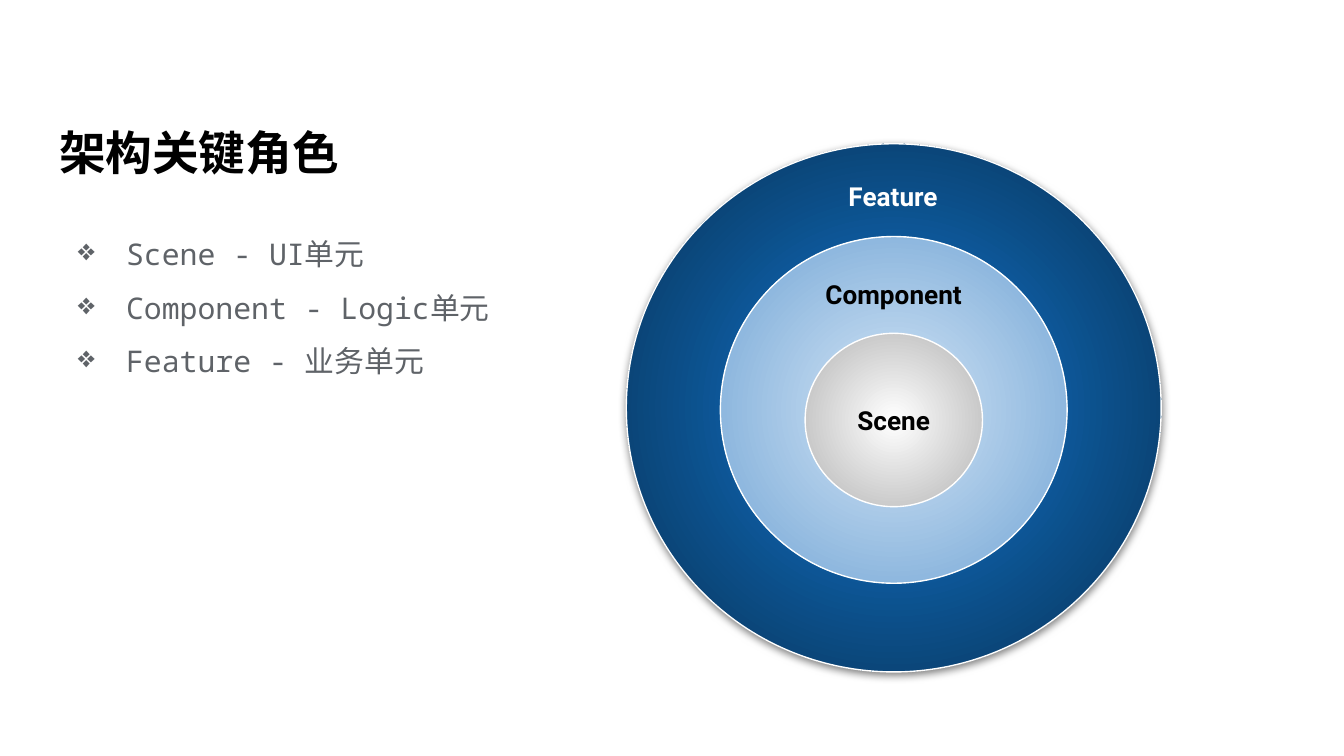
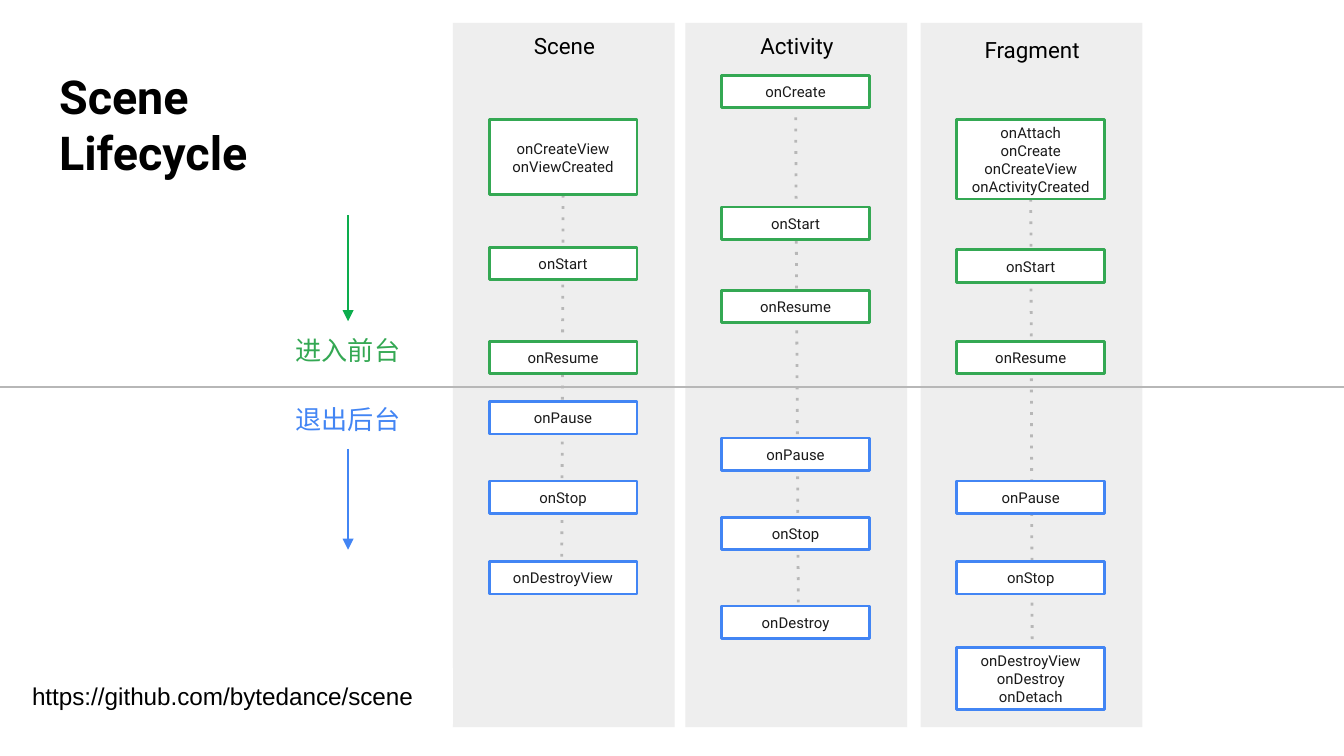
from lxml.etree import SubElement
from pptx import Presentation
from pptx.dml.color import RGBColor
from pptx.enum.shapes import MSO_CONNECTOR, MSO_SHAPE
from pptx.enum.text import MSO_ANCHOR, MSO_AUTO_SIZE, PP_ALIGN
from pptx.oxml.ns import qn
from pptx.util import Inches, Pt

BLACK = RGBColor(0x00, 0x00, 0x00)
WHITE = RGBColor(0xFF, 0xFF, 0xFF)
INK = RGBColor(0x1A, 0x1A, 0x1A)
SLATE = RGBColor(0x5F, 0x63, 0x68)
PANEL = RGBColor(0xEE, 0xEE, 0xEE)
RULE = RGBColor(0xB7, 0xB7, 0xB7)
GREEN = RGBColor(0x34, 0xA8, 0x53)
ARROW_GREEN = RGBColor(0x0C, 0xAD, 0x4D)
BLUE = RGBColor(0x42, 0x85, 0xF4)
NAVY = RGBColor(0x10, 0x77, 0xD2), RGBColor(0x09, 0x31, 0x53)
SKY = RGBColor(0xD4, 0xE5, 0xF5), RGBColor(0x70, 0xA4, 0xD5)
SILVER = WHITE, RGBColor(0xB3, 0xB3, 0xB3)

deck = Presentation()
deck.slide_width = Inches(10)
deck.slide_height = Inches(5.625)
COLUMN = deck.slide_width / 100
ROW = deck.slide_height / 56.25


def write(shape, lines, size, color, align=PP_ALIGN.CENTER, anchor=MSO_ANCHOR.TOP,
          bold=False, font="Roboto", inset=1):
    frame = shape.text_frame
    frame.word_wrap = True
    frame.auto_size = MSO_AUTO_SIZE.NONE
    frame.vertical_anchor = anchor
    frame.margin_left = frame.margin_right = int(inset * COLUMN)
    frame.margin_top = frame.margin_bottom = int(inset * ROW)
    frame.text = "\n".join(lines)
    for para in frame.paragraphs:
        para.alignment = align
        para.font.name = font
        para.font.size = Pt(size)
        para.font.bold = bold
        para.font.color.rgb = color
        SubElement(para._p.pPr.find(qn("a:defRPr")), qn("a:ea"), typeface=font)
    return frame


def connect(page, start, end, color, width, detail=None, value=None):
    line = page.shapes.add_connector(
        MSO_CONNECTOR.STRAIGHT, int(start[0] * COLUMN), int(start[1] * ROW),
        int(end[0] * COLUMN), int(end[1] * ROW))
    line.line.color.rgb = color
    line.line.width = Pt(width)
    properties = line._element.spPr
    if detail == "prstDash":
        SubElement(properties.find(qn("a:ln")), qn("a:prstDash"), val=value)
    elif detail == "tailEnd":
        SubElement(properties.find(qn("a:ln")), qn("a:tailEnd"), type=value)
    SubElement(properties, qn("a:effectLst"))


pages = []
for title_lines in (["架构关键角色"], ["Scene", "Lifecycle"]):
    page = deck.slides.add_slide(deck.slide_layouts[5])
    title = page.shapes.title
    title.left, title.top = int(3.4 * COLUMN), int(6.1 * ROW)
    title.width, title.height = int(45.8 * COLUMN), int(8.3 * ROW)
    write(title, title_lines, 25, BLACK, PP_ALIGN.LEFT, MSO_ANCHOR.BOTTOM, True)
    pages.append(page)
roles, lifecycle = pages

rings = []
for left, top, width, height, (center, edge) in (
        (46.6, 10.7, 39.8, 39.3, NAVY),
        (53.6, 17.6, 25.8, 25.8, SKY),
        (59.9, 24.8, 13.2, 12.9, SILVER)):
    ring = roles.shapes.add_shape(
        MSO_SHAPE.OVAL, int(left * COLUMN), int(top * ROW), int(width * COLUMN), int(height * ROW))
    ring.shadow.inherit = False
    ring.line.color.rgb = WHITE
    ring.line.width = Pt(0.75)
    ring.fill.gradient()
    for stop, color in zip(ring.fill.gradient_stops, (center, edge)):
        stop.color.rgb = color
    gradient = ring._element.spPr.find(qn("a:gradFill"))
    gradient.remove(gradient.find(qn("a:lin")))
    radial = SubElement(gradient, qn("a:path"), path="circle")
    SubElement(radial, qn("a:fillToRect"), l="50000", t="50000", r="50000", b="50000")
    rings.append(ring)

effects = rings[0]._element.spPr.find(qn("a:effectLst"))
shadow = SubElement(effects, qn("a:outerShdw"), blurRad=str(Pt(4.5)), dist=str(Pt(1.5)),
                    dir="5400000", algn="bl", rotWithShape="0")
shade = SubElement(shadow, qn("a:srgbClr"), val=str(BLACK))
SubElement(shade, qn("a:alpha"), val="50000")
write(rings[2], ["Scene"], 14, BLACK, anchor=MSO_ANCHOR.MIDDLE, bold=True)

for label, left, top, width, color in (
        ("Component", 59.7, 19.7, 13.6, BLACK), ("Feature", 61.2, 12.4, 10.5, WHITE)):
    box = roles.shapes.add_textbox(
        int(left * COLUMN), int(top * ROW), int(width * COLUMN), int(4.4 * ROW))
    write(box, [label], 14, color, bold=True)

box = roles.shapes.add_textbox(
    int(3.4 * COLUMN), int(15.2 * ROW), int(41.1 * COLUMN), int(34.8 * ROW))
frame = write(box, ["Scene - UI单元", "Component - Logic单元", "Feature - 业务单元"],
              16, SLATE, PP_ALIGN.LEFT, font="Noto Sans Mono")
for para in frame.paragraphs:
    para.line_spacing = 1.5
    settings = para._p.pPr
    settings.set("marL", str(Inches(0.5)))
    settings.set("indent", str(Inches(-0.36)))
    bullet_color = SubElement(settings, qn("a:buClr"))
    SubElement(bullet_color, qn("a:srgbClr"), val=str(SLATE))
    SubElement(settings, qn("a:buChar"), char="❖")
    settings.append(settings.find(qn("a:defRPr")))

DIVIDER = 28.8
tracks = (
    ("Scene", 33.7, 1.4, (41.9, 14.5), (41.8, 41.8), (
        (8.9, 5.6, ["onCreateView", "onViewCreated"]),
        (18.4, 2.4, ["onStart"]),
        (25.4, 2.4, ["onResume"]),
        (29.9, 2.4, ["onPause"]),
        (35.8, 2.4, ["onStop"]),
        (41.8, 2.4, ["onDestroyView"]))),
    ("Activity", 51, 1.4, (59.2, 7.9), (59.4, 45.1), (
        (5.6, 2.4, ["onCreate"]),
        (15.4, 2.4, ["onStart"]),
        (21.6, 2.4, ["onResume"]),
        (32.6, 2.4, ["onPause"]),
        (38.5, 2.4, ["onStop"]),
        (45.1, 2.4, ["onDestroy"]))),
    ("Fragment", 68.5, 1.7, (76.7, 14.8), (76.8, 48.2), (
        (8.9, 5.9, ["onAttach", "onCreate", "onCreateView", "onActivityCreated"]),
        (18.6, 2.4, ["onStart"]),
        (25.4, 2.4, ["onResume"]),
        (35.8, 2.4, ["onPause"]),
        (41.8, 2.4, ["onStop"]),
        (48.2, 4.6, ["onDestroyView", "onDestroy", "onDetach"]))),
)
for name, left, name_top, start, end, stages in tracks:
    panel = lifecycle.shapes.add_shape(
        MSO_SHAPE.ROUNDED_RECTANGLE, int(left * COLUMN), int(1.7 * ROW),
        int(16.5 * COLUMN), int(52.4 * ROW))
    panel.adjustments[0] = 0
    panel.shadow.inherit = False
    panel.fill.solid()
    panel.fill.fore_color.rgb = PANEL
    panel.line.fill.background()
    connect(lifecycle, start, end, RULE, 1.5, "prstDash", "dot")
    for top, height, callbacks in stages:
        stage = lifecycle.shapes.add_shape(
            MSO_SHAPE.ROUNDED_RECTANGLE, int((left + 2.7) * COLUMN), int(top * ROW),
            int(11 * COLUMN), int(height * ROW))
        stage.adjustments[0] = 0
        stage.shadow.inherit = False
        stage.fill.solid()
        stage.fill.fore_color.rgb = WHITE
        stage.line.color.rgb = GREEN if top < DIVIDER else BLUE
        stage.line.width = Pt(1.5)
        write(stage, callbacks, 8, INK, anchor=MSO_ANCHOR.MIDDLE, inset=0)
    box = lifecycle.shapes.add_textbox(
        int((left + 2.5) * COLUMN), int(name_top * ROW), int(11.6 * COLUMN), int(4 * ROW))
    write(box, [name], 12, BLACK)

connect(lifecycle, (0, DIVIDER), (100, DIVIDER), RULE, 0.75)
for label, top, color, arrow_top, arrow_bottom, arrow_color in (
        ("进入前台", 23.9, GREEN, 16, 23.9, ARROW_GREEN),
        ("退出后台", 29, BLUE, 33.4, 40.9, BLUE)):
    box = lifecycle.shapes.add_textbox(
        int(20.1 * COLUMN), int(top * ROW), int(11.6 * COLUMN), int(4.4 * ROW))
    write(box, [label], 14, color)
    connect(lifecycle, (25.9, arrow_top), (25.9, arrow_bottom), arrow_color, 1.5,
            "tailEnd", "triangle")

link = lifecycle.shapes.add_shape(
    MSO_SHAPE.RECTANGLE, int(1.4 * COLUMN), int(49.7 * ROW), int(32.3 * COLUMN), int(4.2 * ROW))
link.shadow.inherit = False
link.fill.solid()
link.fill.fore_color.rgb = WHITE
link.line.fill.background()
write(link, ["https://github.com/bytedance/scene"], 13, BLACK, PP_ALIGN.LEFT, font="Arial")

deck.save("out.pptx")
